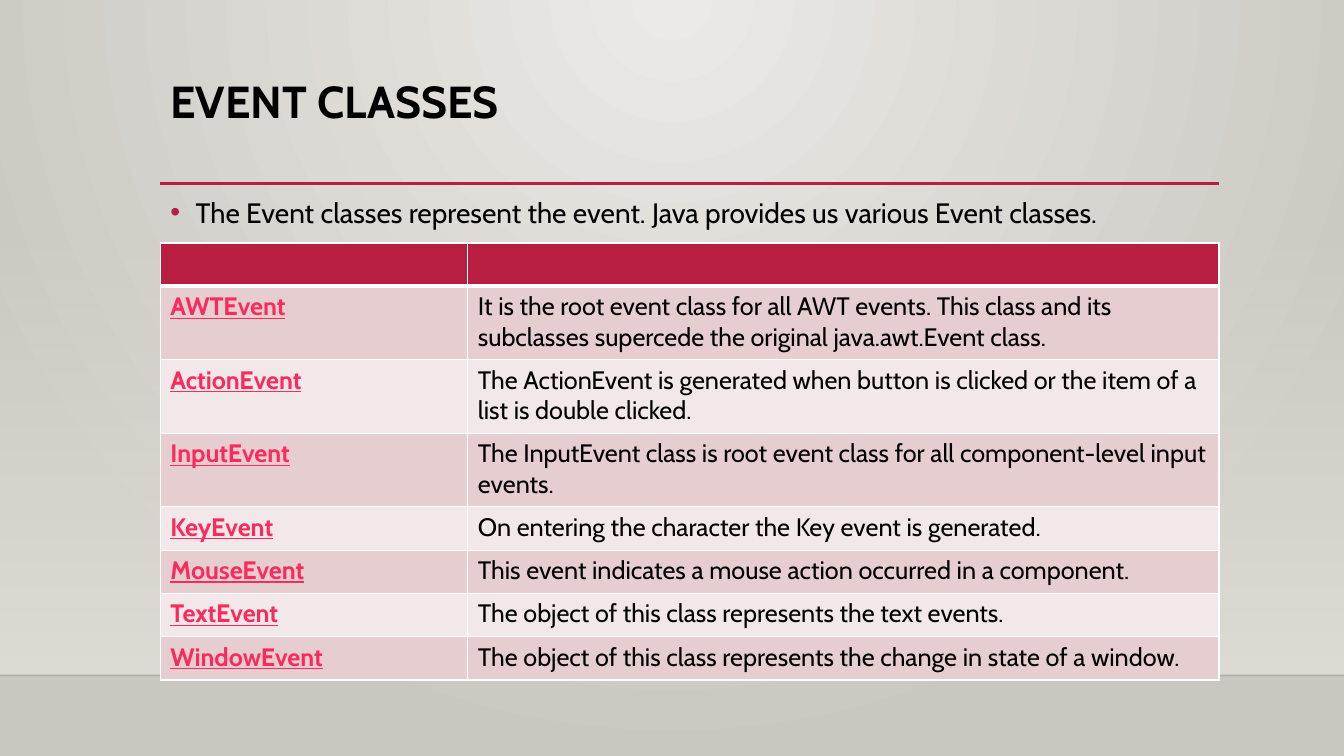
from dataclasses import dataclass

from lxml.etree import SubElement
from pptx import Presentation
from pptx.dml.color import RGBColor
from pptx.enum.shapes import MSO_CONNECTOR, MSO_SHAPE
from pptx.enum.text import MSO_ANCHOR, MSO_AUTO_SIZE, PP_ALIGN
from pptx.oxml import parse_xml
from pptx.oxml.ns import nsdecls, qn
from pptx.util import Inches, Pt

WIDTH, HEIGHT = Inches(13.33), Inches(7.5)
CRIMSON, PINK, BLACK, WHITE = "B71E42", "FA2B5C", "000000", "FFFFFF"
BANDS = "E6CDCF", "F3E8E9"

# Percent of the slide's width or height
LEFT, CONTENT_WIDTH = 11.93, 78.77
RULE_TOP, FLOOR_TOP = 24.27, 89.33
COLUMNS = 22.88, 55.89
LINE_ROW, WRAPPED_ROW = 5.73, 9.73


@dataclass(frozen=True)
class Box:
    left: float
    top: float
    width: float
    height: float

    def place(self) -> tuple[int, int, int, int]:
        return across(self.left), down(self.top), across(self.width), down(self.height)


@dataclass(frozen=True)
class EventClass:
    name: str
    meaning: str
    height: float = LINE_ROW


EVENTS = [
    EventClass("AWTEvent", "It is the root event class for all AWT events. This class and its "
               "subclasses supercede the original java.awt.Event class.", WRAPPED_ROW),
    EventClass("ActionEvent", "The ActionEvent is generated when button is clicked or the item "
               "of a list is double clicked.", WRAPPED_ROW),
    EventClass("InputEvent", "The InputEvent class is root event class for all component-level "
               "input events.", WRAPPED_ROW),
    EventClass("KeyEvent", "On entering the character the Key event is generated."),
    EventClass("MouseEvent", "This event indicates a mouse action occurred in a component."),
    EventClass("TextEvent", "The object of this class represents the text events."),
    EventClass("WindowEvent",
               "The object of this class represents the change in state of a window."),
]


def across(percent: float) -> int:
    return round(WIDTH * percent / 100)


def down(percent: float) -> int:
    return round(HEIGHT * percent / 100)


def color(value: str) -> RGBColor:
    return RGBColor.from_string(value)


def write(frame, text: str, *, size: float, ink: str = BLACK, bold: bool = False,
          underline: bool = False, spacing: float = 1, before: float = 0):
    frame.word_wrap = True
    paragraph = frame.paragraphs[0]
    paragraph.alignment = PP_ALIGN.LEFT
    paragraph.line_spacing = spacing
    paragraph.space_before = Pt(before)
    run = paragraph.add_run()
    run.text = text
    font = run.font
    font.name, font.size, font.bold, font.underline = "Cabin", Pt(size), bold, underline
    font.color.rgb = color(ink)
    return paragraph


def set_gradient(holder, start: str, end: str, direction: str, start_alpha: int = 100) -> None:
    """Replace the solid fill inside holder by a two-stop gradient."""
    solid = holder.find(qn("a:solidFill"))
    holder.replace(solid, parse_xml(
        f'<a:gradFill {nsdecls("a")} rotWithShape="1"><a:gsLst>'
        f'<a:gs pos="0"><a:srgbClr val="{start}"><a:alpha val="{start_alpha * 1000}"/>'
        f'</a:srgbClr></a:gs><a:gs pos="100000"><a:srgbClr val="{end}"/></a:gs>'
        f'</a:gsLst>{direction}</a:gradFill>'))


def add_rule(slide, left: float, top: float, width: float, ink: str, weight: float,
             alpha: int = 100) -> None:
    rule = slide.shapes.add_connector(MSO_CONNECTOR.STRAIGHT, across(left), down(top),
                                      across(left + width), down(top))
    rule.line.color.rgb = color(ink)
    rule.line.width = Pt(weight)
    properties = rule._element.spPr
    ink_element = properties.find(".//" + qn("a:srgbClr"))
    SubElement(ink_element, qn("a:alpha"), val=str(alpha * 1000))
    SubElement(properties, qn("a:effectLst"))


def add_backdrop(slide) -> None:
    slide.background.fill.solid()
    set_gradient(slide._element.find(".//" + qn("p:bgPr")), "ECEAE7", "CAC7C1",
                 '<a:path path="circle">'
                 '<a:fillToRect l="43000" t="0" r="43000" b="100000"/></a:path>')
    wall = slide.shapes.add_shape(MSO_SHAPE.RECTANGLE, *Box(0, 29.47, 100, 59.87).place())
    wall.shadow.inherit = False
    wall.line.fill.background()
    wall.fill.solid()
    set_gradient(wall._element.spPr, "DFDBD5", "DFDBD5", '<a:lin ang="5400000"/>', 0)
    add_rule(slide, 0, FLOOR_TOP, 100, "000001", 1, alpha=20)
    add_rule(slide, LEFT, RULE_TOP, CONTENT_WIDTH, CRIMSON, 2.5)


def place_text(slide, holder, box: Box, text: str, **text_format):
    """Move a placeholder in front of the backdrop and fill it."""
    slide.shapes._spTree.append(holder._element)
    holder.left, holder.top, holder.width, holder.height = box.place()
    holder.text_frame.auto_size = MSO_AUTO_SIZE.NONE
    holder.text_frame.vertical_anchor = MSO_ANCHOR.TOP
    return write(holder.text_frame, text, **text_format)


def set_bullet(paragraph) -> None:
    properties = paragraph._p.get_or_add_pPr()
    properties.set("marL", str(Inches(0.25)))
    properties.set("indent", str(-Inches(0.25)))
    bullet_color = SubElement(properties, qn("a:buClr"))
    SubElement(bullet_color, qn("a:srgbClr"), val=CRIMSON)
    SubElement(properties, qn("a:buFont"), typeface="Arial")
    SubElement(properties, qn("a:buChar"), char="•")


def style_cell(cell, fill: str, top: float = 1, bottom: float = 1) -> None:
    cell.fill.solid()
    cell.fill.fore_color.rgb = color(fill)
    properties = cell._tc.get_or_add_tcPr()
    for position, (side, weight) in enumerate(
            [("lnL", 1), ("lnR", 1), ("lnT", top), ("lnB", bottom)]):
        properties.insert(position, parse_xml(
            f'<a:{side} {nsdecls("a")} w="{Pt(weight)}"><a:solidFill>'
            f'<a:srgbClr val="{WHITE}"/></a:solidFill></a:{side}>'))


def add_event_table(slide) -> None:
    heights = [LINE_ROW] + [event.height for event in EVENTS]
    box = Box(LEFT, 32.13, CONTENT_WIDTH, sum(heights))
    table = slide.shapes.add_table(len(heights), len(COLUMNS), *box.place()).table
    table.first_row = table.horz_banding = False
    for column, width in zip(table.columns, COLUMNS):
        column.width = across(width)
    for row, height in zip(table.rows, heights):
        row.height = down(height)
    for heading in table.rows[0].cells:
        style_cell(heading, CRIMSON, bottom=3)
    for index, event in enumerate(EVENTS):
        name, meaning = table.rows[index + 1].cells
        write(name.text_frame, event.name, size=18, ink=PINK, bold=True, underline=True)
        write(meaning.text_frame, event.meaning, size=18)
        for cell in (name, meaning):
            style_cell(cell, BANDS[index % 2], top=1 if index else 3)


def main() -> None:
    deck = Presentation()
    deck.slide_width, deck.slide_height = WIDTH, HEIGHT
    slide = deck.slides.add_slide(deck.slide_layouts[1])
    add_backdrop(slide)
    place_text(slide, slide.shapes.title, Box(LEFT, 9.87, CONTENT_WIDTH, 14.4),
               "EVENT CLASSES", size=32, bold=True, spacing=0.9)
    introduction = place_text(
        slide, slide.placeholders[1], Box(LEFT, RULE_TOP, CONTENT_WIDTH, 64.13),
        "The Event classes represent the event. Java provides us various Event classes.",
        size=20, spacing=1.2, before=10)
    set_bullet(introduction)
    add_event_table(slide)
    deck.save("out.pptx")


if __name__ == "__main__":
    main()
